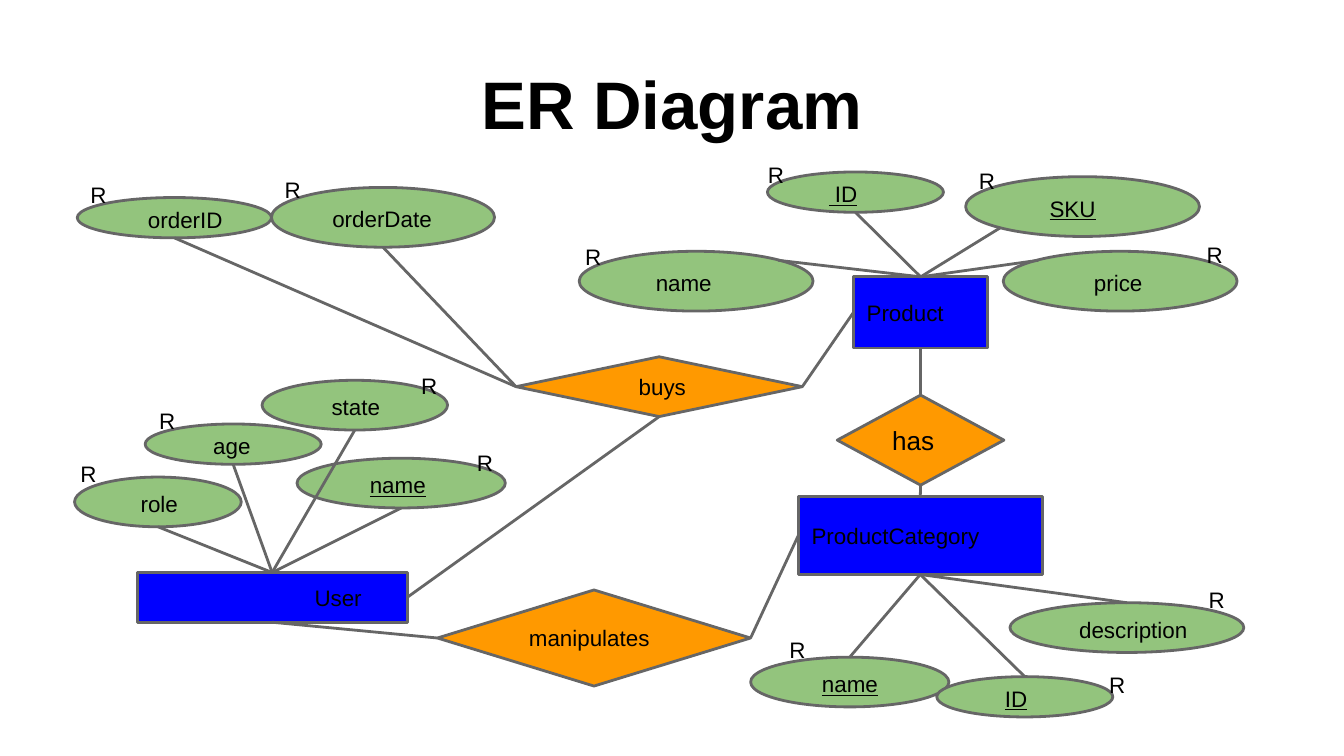
import pptx
import pptx.dml.color
import pptx.enum.shapes
import pptx.enum.text
import pptx.oxml.ns
import pptx.util
from lxml import etree

RGBColor = pptx.dml.color.RGBColor
SHAPE = pptx.enum.shapes.MSO_SHAPE
ANCHOR = pptx.enum.text.MSO_ANCHOR

BLUE = RGBColor(0x00, 0x00, 0xFF)
ORANGE = RGBColor(0xFF, 0x99, 0x00)
GREEN = RGBColor(0x93, 0xC4, 0x7D)
GRAY = RGBColor(0x66, 0x66, 0x66)
BLACK = RGBColor(0x00, 0x00, 0x00)

COLUMNS, ROWS = 100, 56.25  # square grid cells of a tenth of an inch
PADDING = 1
LOWERED = 1.25  # top padding that sets attribute labels just below the middle
TOP, LEFT, BOTTOM, RIGHT = range(4)

# Where a line meets an ellipse, as shares of its width and height
ELLIPSE_SITES = {
    "top": (0.5, 0), "bottom": (0.5, 1), "top left": (0.15, 0.15),
    "top right": (0.85, 0.15), "bottom left": (0.15, 0.85),
}

# name: (box in cells, label indent)
ENTITIES = {
    "User": ((10.2, 42.6, 20.1, 3.7), 13.2),
    "Product": ((63.5, 20.6, 10, 5.3), PADDING),
    "ProductCategory": ((59.4, 36.95, 18.15, 5.8), PADDING),
}

# name: (box in cells, label indent, text size)
RELATIONSHIPS = {
    "manipulates": ((32.55, 43.9, 23.3, 7.15), PADDING, 12),
    "has": ((62.3, 29.4, 12.4, 6.7), PADDING, 14),
    "buys": ((38.4, 26.55, 21.3, 4.45), 3.8, 12),
}

# (owner, owner's side, label, is key, box, indent, line site, R marker corner)
ATTRIBUTES = [
    ("Product", TOP, "name", False, (43.1, 18.7, 17.4, 4.45), 3.15, "top right", (42.55, 17.1)),
    ("Product", TOP, "SKU", True, (71.85, 13.15, 17.4, 4.45), 3.7, "bottom left", (71.85, 11.45)),
    ("Product", TOP, "price", False, (74.65, 18.7, 17.4, 4.45), 4.2, "top left", (88.8, 16.95)),
    ("Product", TOP, " ID", True, (57.1, 12.8, 13.1, 3), 2.65, "bottom", (56.15, 11)),
    ("ProductCategory", BOTTOM, "name", True, (55.85, 48.9, 14.75, 3.7), 3.15, "top",
     (57.75, 46.3)),
    ("ProductCategory", BOTTOM, "ID", True, (69.7, 50.35, 13.1, 3), 3.15, "top", (81.55, 48.95)),
    ("ProductCategory", BOTTOM, "description", False, (75.15, 44.85, 17.4, 3.7), 2.6, "top",
     (88.95, 42.6)),
    ("User", TOP, "name", True, (22.1, 34.1, 15.5, 3.7), 3.15, "bottom", (34.5, 32.4)),
    ("User", TOP, "age", False, (10.8, 31.55, 13.1, 3), 3.15, "bottom", (10.85, 29.3)),
    ("User", TOP, "state", False, (19.5, 28.3, 13.8, 3.7), 3.15, "bottom", (30.35, 26.7)),
    ("User", TOP, "role", False, (5.55, 35.5, 12.4, 3.7), 3.1, "bottom", (5, 33.25)),
    ("buys", LEFT, "orderDate", False, (20.2, 13.95, 16.6, 4.45), 2.1, "bottom", (20.2, 12.1)),
    ("buys", LEFT, "orderID", False, (5.75, 14.7, 14.45, 3), 3.15, "bottom", (5.75, 12.45)),
]

LINKS = [
    ("Product", BOTTOM, "has", TOP),
    ("has", BOTTOM, "ProductCategory", TOP),
    ("buys", RIGHT, "Product", LEFT),
    ("buys", BOTTOM, "User", RIGHT),
    ("User", BOTTOM, "manipulates", LEFT),
    ("manipulates", RIGHT, "ProductCategory", LEFT),
]


def cells(count):
    return pptx.util.Inches(count / 10)


def write(frame, text, size=12, indent=PADDING, underline=None, bold=None):
    frame.word_wrap = True
    frame.margin_left = cells(indent)
    frame.margin_top = frame.margin_right = frame.margin_bottom = cells(PADDING)
    paragraph = frame.paragraphs[0]
    paragraph.alignment = pptx.enum.text.PP_ALIGN.LEFT
    run = paragraph.add_run()
    run.text = text
    font = run.font
    font.name, font.size = "Arial", pptx.util.Pt(size)
    font.underline, font.bold = underline, bold
    font.color.rgb = BLACK
    return paragraph


def add_node(slide, kind, color, box, label, indent, size=12, underline=None):
    node = slide.shapes.add_shape(kind, *map(cells, box))
    node.shadow.inherit = False
    node.fill.solid()
    node.fill.fore_color.rgb = color
    node.line.color.rgb = GRAY
    node.line.width = pptx.util.Pt(1.5)
    node.text_frame.vertical_anchor = ANCHOR.MIDDLE
    write(node.text_frame, label, size, indent, underline)
    return node


def add_line(slide, start=(0, 0)):
    """Add a line whose far end is still to be joined to a node."""
    line = slide.shapes.add_connector(
        pptx.enum.shapes.MSO_CONNECTOR.STRAIGHT, *map(cells, (*start, *start)))
    line.line.color.rgb = GRAY
    line.line.width = pptx.util.Pt(1.5)
    etree.SubElement(line._element.spPr, pptx.oxml.ns.qn("a:effectLst"))
    return line


def add_required_mark(slide, corner):
    mark = slide.shapes.add_textbox(*map(cells, (*corner, 3.6, 3.7)))
    write(mark.text_frame, "R")


def add_title(slide, text):
    title = slide.shapes.title
    title.left, title.top, title.width, title.height = map(cells, (5, 2.25, 90, 9.4))
    title.text_frame.auto_size = pptx.enum.text.MSO_AUTO_SIZE.NONE
    title.text_frame.vertical_anchor = ANCHOR.BOTTOM
    heading = write(title.text_frame, text, 36, bold=True)
    heading.alignment = pptx.enum.text.PP_ALIGN.CENTER


def main():
    deck = pptx.Presentation()
    deck.slide_width, deck.slide_height = cells(COLUMNS), cells(ROWS)
    slide = deck.slides.add_slide(deck.slide_layouts[5])
    add_title(slide, "ER Diagram")

    nodes = {}
    for name, (box, indent) in ENTITIES.items():
        nodes[name] = add_node(slide, SHAPE.RECTANGLE, BLUE, box, name, indent)
    for name, (box, indent, size) in RELATIONSHIPS.items():
        nodes[name] = add_node(
            slide, SHAPE.FLOWCHART_DECISION, ORANGE, box, name, indent, size)
    for _, _, label, is_key, box, indent, _, _ in ATTRIBUTES:
        attribute = add_node(
            slide, SHAPE.OVAL, GREEN, box, label, indent, underline=is_key or None)
        attribute.text_frame.margin_top = cells(LOWERED)

    for owner, side, _, _, (left, top, width, height), _, site, _ in ATTRIBUTES:
        across, down = ELLIPSE_SITES[site]
        line = add_line(slide, (left + across * width, top + down * height))
        line.end_connect(nodes[owner], side)
    for source, source_side, target, target_side in LINKS:
        line = add_line(slide)
        line.begin_connect(nodes[source], source_side)
        line.end_connect(nodes[target], target_side)

    for *_, corner in ATTRIBUTES:
        add_required_mark(slide, corner)

    deck.save("out.pptx")


if __name__ == "__main__":
    main()
